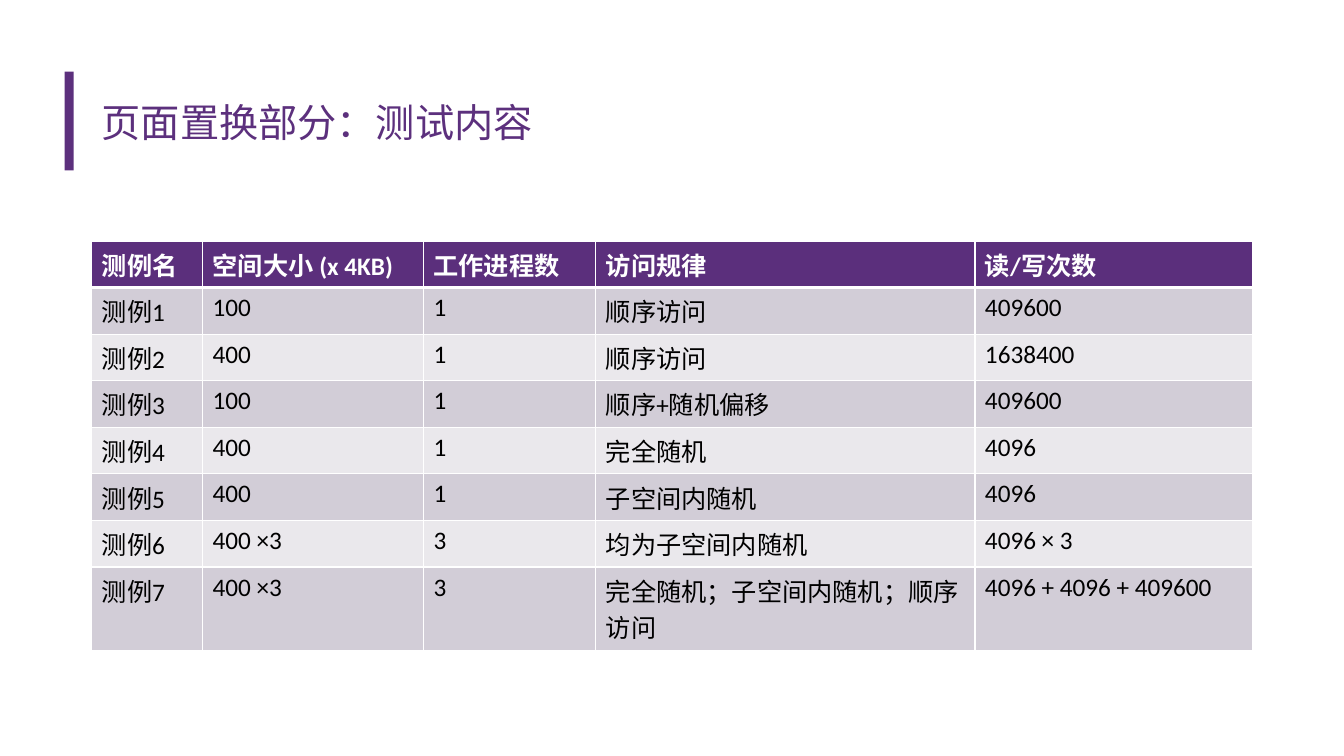
from dataclasses import dataclass

import lxml.etree
import pptx
import pptx.dml.color
import pptx.enum.shapes
import pptx.enum.text
import pptx.oxml.ns
import pptx.util

PX = 9144
FONT = "Calibri"
PURPLE = pptx.dml.color.RGBColor(0x5C, 0x30, 0x7D)
HEADER_PURPLE = pptx.dml.color.RGBColor(0x5B, 0x2F, 0x7C)
BAND_DARK = pptx.dml.color.RGBColor(0xD2, 0xCD, 0xD7)
BAND_LIGHT = pptx.dml.color.RGBColor(0xEA, 0xE8, 0xEC)
WHITE = pptx.dml.color.RGBColor(0xFF, 0xFF, 0xFF)
BLACK = pptx.dml.color.RGBColor(0x00, 0x00, 0x00)


@dataclass(frozen=True)
class Box:
    left: int
    top: int
    width: int
    height: int

    def emu(self) -> list[int]:
        return [px(n) for n in (self.left, self.top, self.width, self.height)]


@dataclass(frozen=True)
class Column:
    heading: str
    width: int


@dataclass(frozen=True)
class TestCase:
    name: str
    space: str
    processes: str
    pattern: str
    accesses: str

    def texts(self) -> list[str]:
        return [self.name, self.space, self.processes, self.pattern, self.accesses]


BAR = Box(64, 71, 9, 98)
TITLE = Box(91, 65, 1151, 111)
TABLE = Box(91, 239, 1151, 328)
ROW_HEIGHT = 41

COLUMNS = [
    Column("测例名", 110),
    Column("空间大小 (x 4KB)", 219),
    Column("工作进程数", 171),
    Column("访问规律", 376),
    Column("读/写次数", 275),
]

CASES = [
    TestCase("测例1", "100", "1", "顺序访问", "409600"),
    TestCase("测例2", "400", "1", "顺序访问", "1638400"),
    TestCase("测例3", "100", "1", "顺序+随机偏移", "409600"),
    TestCase("测例4", "400", "1", "完全随机", "4096"),
    TestCase("测例5", "400", "1", "子空间内随机", "4096"),
    TestCase("测例6", "400 ×3", "3", "均为子空间内随机", "4096 × 3"),
    TestCase("测例7", "400 ×3", "3", "完全随机；子空间内随机；顺序访问", "4096 + 4096 + 409600"),
]


def px(n: int) -> int:
    return n * PX


def format_runs(tf, size: int, color: pptx.dml.color.RGBColor, bold: bool) -> None:
    for p in tf.paragraphs:
        for r in p.runs:
            r.font.name = FONT
            r.font.size = pptx.util.Pt(size)
            r.font.bold = bold
            r.font.color.rgb = color


def add_border(cell, side: str, points: int) -> None:
    qn = pptx.oxml.ns.qn
    tcPr = cell._tc.get_or_add_tcPr()
    ln = lxml.etree.SubElement(tcPr, qn(f"a:ln{side}"), w=str(pptx.util.Pt(points)))
    fill = lxml.etree.SubElement(ln, qn("a:solidFill"))
    lxml.etree.SubElement(fill, qn("a:srgbClr"), val=str(WHITE))


def draw_cell(cell, text: str, row: int) -> None:
    header = row == 0
    cell.text_frame.text = text
    format_runs(cell.text_frame, 18, WHITE if header else BLACK, header)
    add_border(cell, "L", 1)
    add_border(cell, "R", 1)
    add_border(cell, "T", 3 if row == 1 else 1)
    add_border(cell, "B", 3 if header else 1)
    cell.fill.solid()
    band = BAND_DARK if row % 2 else BAND_LIGHT
    cell.fill.fore_color.rgb = HEADER_PURPLE if header else band


def draw_bar(s) -> None:
    sp = s.shapes.add_shape(pptx.enum.shapes.MSO_SHAPE.ROUNDED_RECTANGLE, *BAR.emu())
    sp.adjustments[0] = 0
    sp.shadow.inherit = False
    sp.fill.solid()
    sp.fill.fore_color.rgb = PURPLE
    sp.line.fill.background()


def draw_title(s, text: str) -> None:
    sp = s.shapes.title
    sp.left, sp.top, sp.width, sp.height = TITLE.emu()
    tf = sp.text_frame
    tf.text = text
    tf.word_wrap = True
    tf.auto_size = pptx.enum.text.MSO_AUTO_SIZE.NONE
    tf.vertical_anchor = pptx.enum.text.MSO_ANCHOR.MIDDLE
    tf.paragraphs[0].alignment = pptx.enum.text.PP_ALIGN.LEFT
    format_runs(tf, 28, PURPLE, False)


def draw_table(s) -> None:
    rows = [[c.heading for c in COLUMNS]] + [case.texts() for case in CASES]
    table = s.shapes.add_table(len(rows), len(COLUMNS), *TABLE.emu()).table
    for col, column in zip(table.columns, COLUMNS):
        col.width = px(column.width)
    for i, texts in enumerate(rows):
        table.rows[i].height = px(ROW_HEIGHT)
        for j, text in enumerate(texts):
            draw_cell(table.cell(i, j), text, i)


def main() -> None:
    prs = pptx.Presentation()
    prs.slide_width = px(1333)
    prs.slide_height = px(750)
    s = prs.slides.add_slide(prs.slide_layouts[5])
    draw_bar(s)
    draw_table(s)
    draw_title(s, "页面置换部分：测试内容")
    prs.save("out.pptx")


if __name__ == "__main__":
    main()
